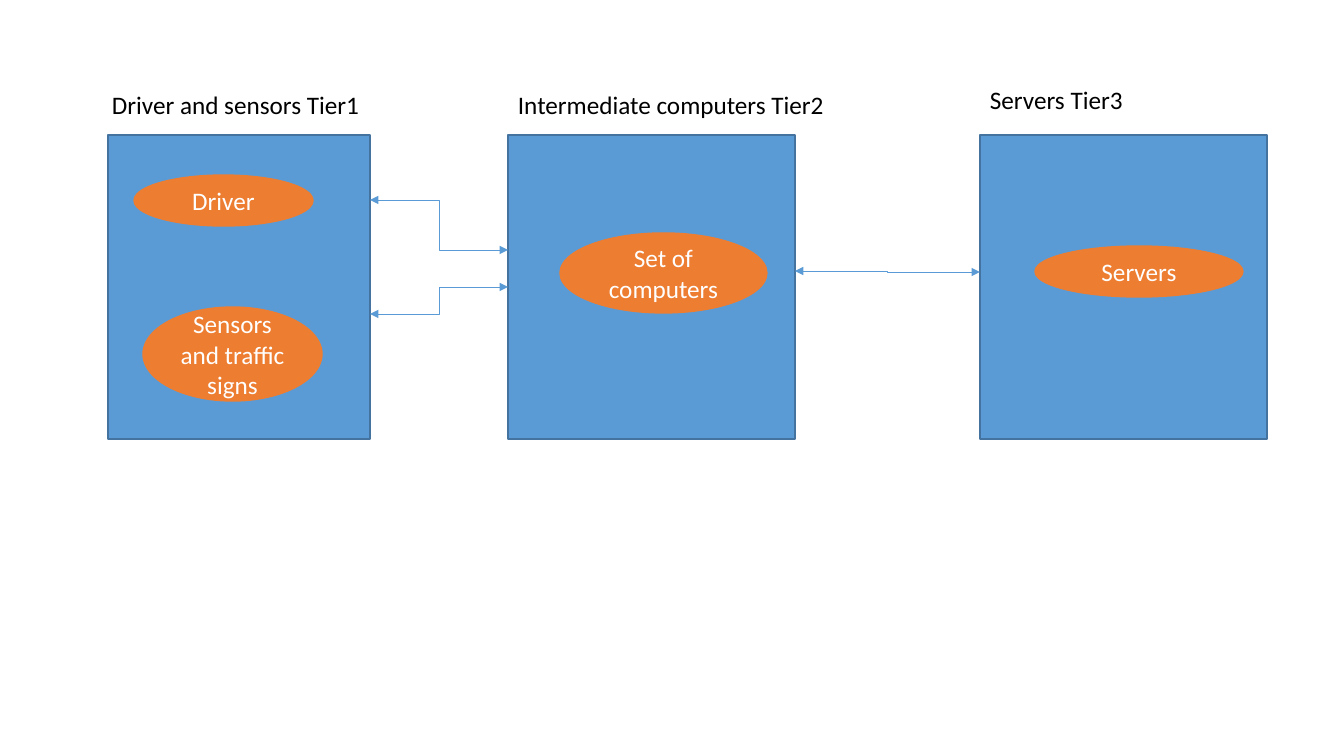
from pptx import Presentation
from pptx.dml.color import RGBColor
from pptx.enum.shapes import MSO_CONNECTOR, MSO_SHAPE
from pptx.enum.text import MSO_ANCHOR, MSO_AUTO_SIZE, PP_ALIGN
from pptx.oxml.ns import qn
from pptx.util import Emu, Pt
from lxml.etree import SubElement

EMU_PER_PIXEL = 914400 / 100.8
BLUE, DARK_BLUE, ORANGE = "5B9BD5", "43739E", "ED7D31"
BLACK, WHITE = "000000", "FFFFFF"
TIER_TOP, TIER_HEIGHT = 135, 304


def px(pixels):
    return Emu(round(pixels * EMU_PER_PIXEL))


def color(hex_string):
    return RGBColor.from_string(hex_string)


def add_run(paragraph, text, hex_string):
    run = paragraph.add_run()
    run.text = text
    run.font.name = "Calibri"
    run.font.size = Pt(18)
    run.font.color.rgb = color(hex_string)


def add_block(slide, preset, box, fill, outline):
    block = slide.shapes.add_shape(preset, *map(px, box))
    block.shadow.inherit = False
    block.fill.solid()
    block.fill.fore_color.rgb = color(fill)
    block.line.color.rgb = color(outline)
    block.line.width = Pt(1)
    return block


def add_tier(slide, left, width):
    add_block(slide, MSO_SHAPE.RECTANGLE,
              (left, TIER_TOP, width, TIER_HEIGHT), BLUE, DARK_BLUE)


def add_heading(slide, text, left, top, width):
    heading = slide.shapes.add_textbox(*map(px, (left, top, width, 40)))
    frame = heading.text_frame
    frame.word_wrap = True
    frame.auto_size = MSO_AUTO_SIZE.SHAPE_TO_FIT_TEXT
    add_run(frame.paragraphs[0], text, BLACK)


def add_component(slide, text, *box):
    component = add_block(slide, MSO_SHAPE.OVAL, box, ORANGE, ORANGE)
    frame = component.text_frame
    frame.word_wrap = True
    frame.vertical_anchor = MSO_ANCHOR.MIDDLE
    frame.paragraphs[0].alignment = PP_ALIGN.CENTER
    add_run(frame.paragraphs[0], text, WHITE)


def add_link(slide, *ends):
    link = slide.shapes.add_connector(MSO_CONNECTOR.ELBOW, *map(px, ends))
    link.line.color.rgb = color(BLUE)
    link.line.width = Pt(0.5)
    # Arrowheads at both ends, no shadow
    outline = link.line._get_or_add_ln()
    for end in ("a:headEnd", "a:tailEnd"):
        SubElement(outline, qn(end), type="triangle")
    SubElement(link._element.spPr, qn("a:effectLst"))


def main():
    deck = Presentation()
    deck.slide_width, deck.slide_height = px(1344), px(756)
    slide = deck.slides.add_slide(deck.slide_layouts[6])

    # Tiers
    for left, width in ((108, 262), (508, 287), (980, 287)):
        add_tier(slide, left, width)

    # Tier headings
    add_heading(slide, "Driver and sensors Tier1", 102, 84, 274)
    add_heading(slide, "Servers Tier3", 980, 79, 348)
    add_heading(slide, "Intermediate computers Tier2", 508, 84, 340)

    # Components inside the tiers
    add_component(slide, "Driver", 134, 175, 179, 51)
    add_component(slide, "Sensors and traffic signs", 143, 307, 179, 94)
    add_component(slide, "Set of computers", 560, 233, 207, 80)
    add_component(slide, "Servers", 1035, 246, 208, 51)

    # Links between neighbouring tiers
    add_link(slide, 370, 314, 508, 287)
    add_link(slide, 370, 200, 508, 250)
    add_link(slide, 795, 271, 980, 272)

    deck.save("out.pptx")


main()
